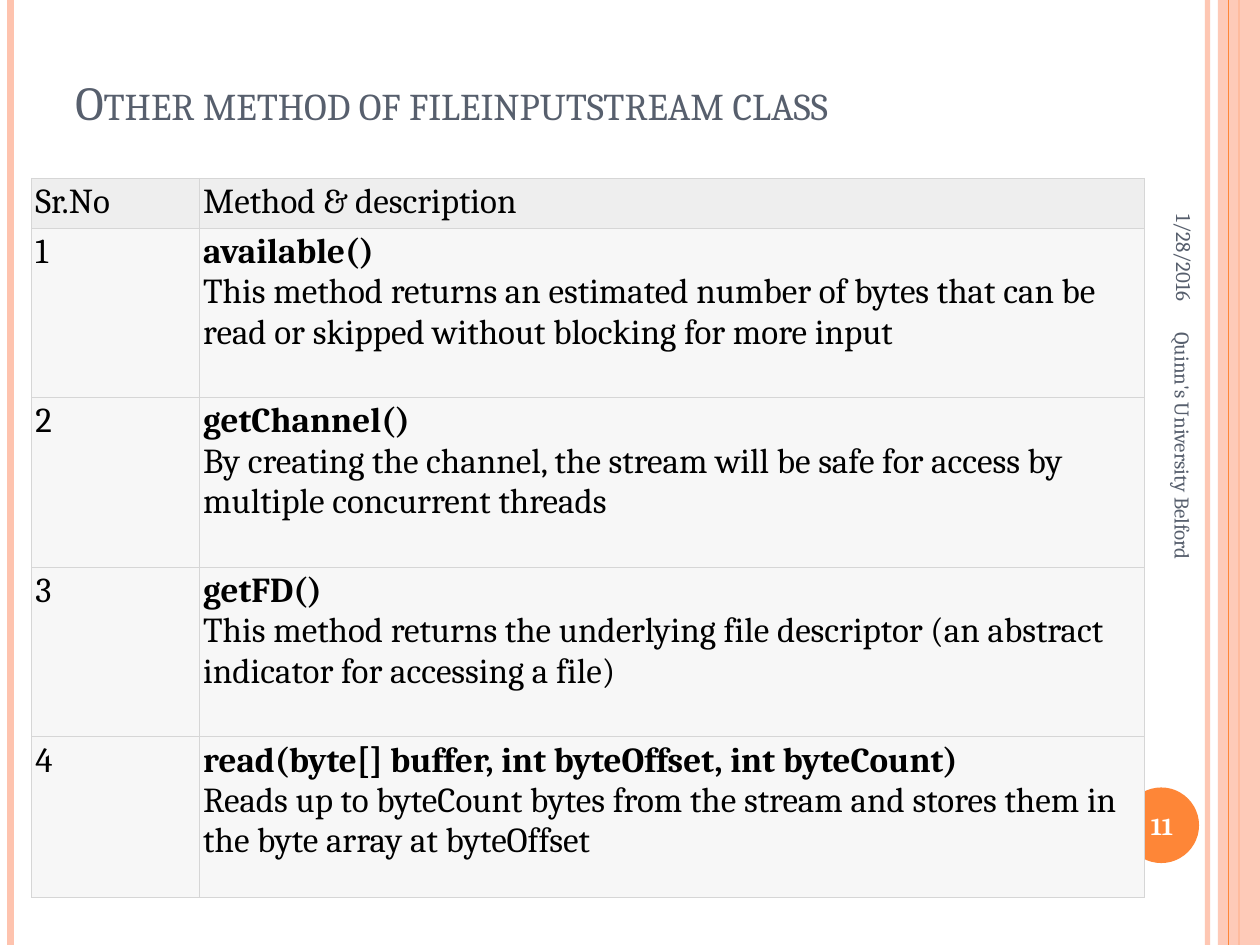
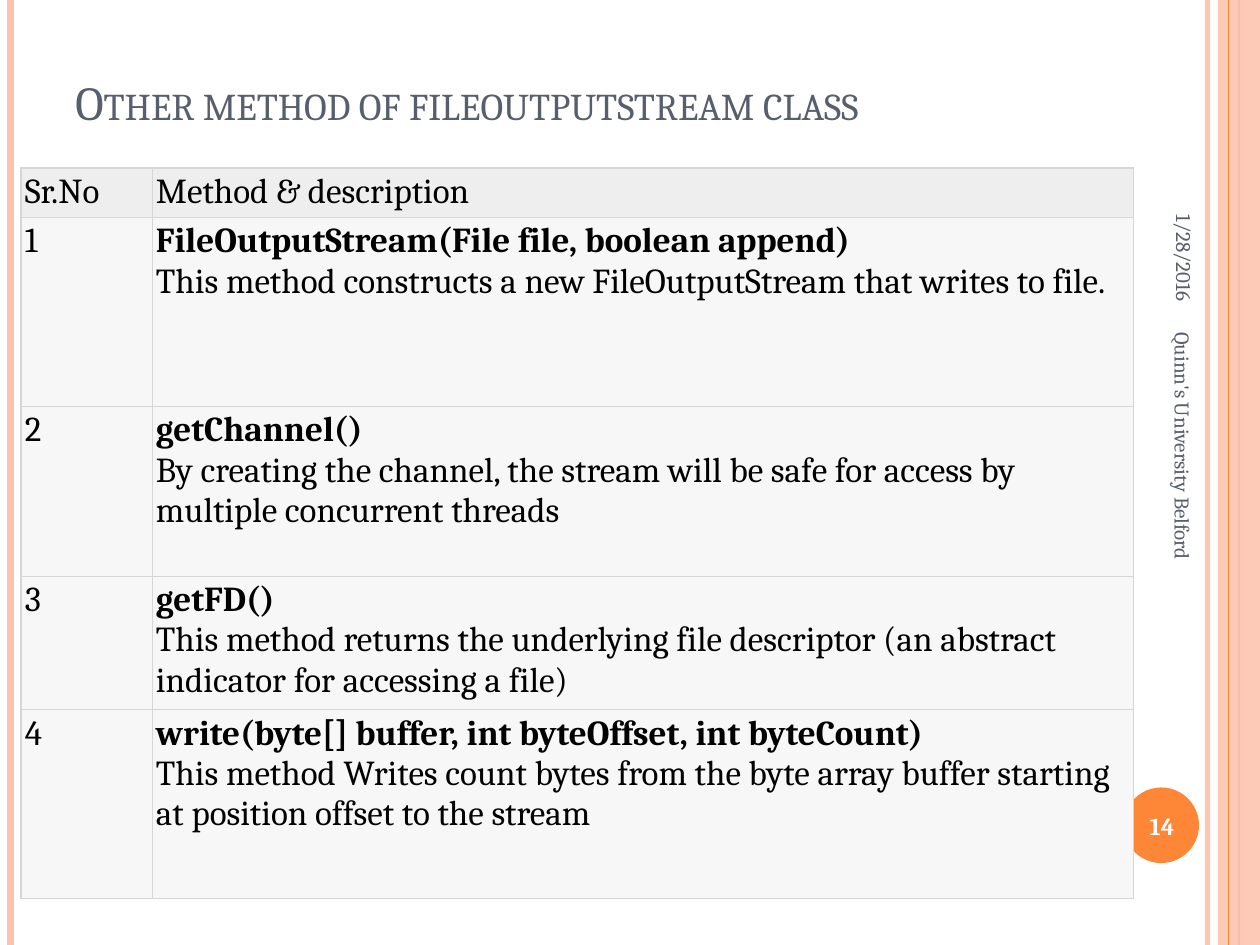
from lxml import etree
from pptx import Presentation
from pptx.dml.color import RGBColor
from pptx.enum.shapes import MSO_CONNECTOR, MSO_SHAPE
from pptx.enum.text import MSO_ANCHOR, PP_ALIGN
from pptx.oxml.ns import qn
from pptx.util import Pt

LINE = MSO_CONNECTOR.STRAIGHT
RECT, OVAL = MSO_SHAPE.RECTANGLE, MSO_SHAPE.OVAL
MIDDLE, BOTTOM = MSO_ANCHOR.MIDDLE, MSO_ANCHOR.BOTTOM
LEFT, CENTER, RIGHT = PP_ALIGN.LEFT, PP_ALIGN.CENTER, PP_ALIGN.RIGHT

PEACH = RGBColor(0xFE, 0xC3, 0xAE)
ORANGE = RGBColor(0xFE, 0x86, 0x37)
SLATE = RGBColor(0x57, 0x5F, 0x6D)
WHITE = RGBColor(0xFF, 0xFF, 0xFF)
BLACK = RGBColor(0, 0, 0)
HEAD = RGBColor(0xEE, 0xEE, 0xEE)
BODY = RGBColor(0xF7, 0xF7, 0xF7)
GRID = "D6D6D6"

FONT = "Cambria"
WIDE, HIGH = 720, 540
DATE = "1/28/2016"
FOOTER = "Quinn's University Belford"

# Methods that both classes share
CHANNEL = ("getChannel()", "By creating the channel, the stream will be safe "
           "for access by multiple concurrent threads")
GETFD = ("getFD()", "This method returns the underlying file descriptor "
         "(an abstract indicator for accessing a file)")


def fade(shape, percent):
    """Make the fill or line colour of a shape partly transparent."""
    for color in shape.element.spPr.iter(qn("a:srgbClr")):
        etree.SubElement(color, qn("a:alpha"), val=str(percent * 1000))


def border(cell):
    """Draw a thin grid line on all four sides of a cell."""
    props = cell._tc.get_or_add_tcPr()
    for side in ("lnL", "lnR", "lnT", "lnB"):
        line = etree.SubElement(props, qn("a:" + side), w=str(Pt(0.75)))
        fill = etree.SubElement(line, qn("a:solidFill"))
        etree.SubElement(fill, qn("a:srgbClr"), val=GRID)


class Deck:
    def __init__(self):
        self.prs = Presentation()
        self.prs.slide_width, self.prs.slide_height = Pt(WIDE), Pt(HIGH)
        self.slide = None

    def start(self, title, number):
        """Add a slide with its bands, title and footers."""
        self.slide = self.prs.slides.add_slide(self.prs.slide_layouts[6])
        fill = self.slide.background.fill
        fill.solid()
        fill.fore_color.rgb = WHITE
        # Bands at the left and right edges
        fade(self.rule(690, PEACH, 3), 93)
        self.rule(6, PEACH, 4.5)
        self.rule(708, ORANGE, 1.5)
        fade(self.shape(RECT, (696, 0, 24, HIGH), PEACH), 87)
        self.rule(702, ORANGE, 0.75)
        self.shape(OVAL, (642, 450, 43.2, 43.2), ORANGE)
        # Title, date, footer and slide number
        run = self.text(title, (36, 21.6, 588, 56.2), 27, anchor=BOTTOM)
        run.font._element.set("cap", "small")
        self.text(DATE, (597.6, 85, 158.4, 30), 12, align=RIGHT, turn=90)
        self.text(FOOTER, (550, 294.5, 252, 28.8), 12, turn=90)
        run = self.text(number, (640, 451.4, 48, 41), 14, WHITE, CENTER)
        run.font.bold = True

    def rule(self, x, color, width):
        line = self.slide.shapes.add_connector(LINE, Pt(x), 0, Pt(x), Pt(HIGH))
        line.line.color.rgb = color
        line.line.width = Pt(width)
        etree.SubElement(line.element.spPr, qn("a:effectLst"))
        return line

    def shape(self, kind, box, color):
        shape = self.slide.shapes.add_shape(kind, *map(Pt, box))
        shape.shadow.inherit = False
        shape.fill.solid()
        shape.fill.fore_color.rgb = color
        shape.line.fill.background()
        return shape

    def style(self, run, size, color):
        run.font.name, run.font.size = FONT, Pt(size)
        run.font.color.rgb = color

    def text(self, words, box, size, color=SLATE, align=LEFT, anchor=MIDDLE,
             turn=0):
        shape = self.slide.shapes.add_textbox(*map(Pt, box))
        shape.rotation = turn
        frame = shape.text_frame
        frame.word_wrap, frame.vertical_anchor = True, anchor
        frame.text = words
        para = frame.paragraphs[0]
        para.alignment = align
        self.style(para.runs[0], size, color)
        return para.runs[0]

    def table(self, left, top, widths, heights, methods):
        """List the methods under a header, numbered from 1."""
        rows = [("Sr.No", "Method & description")]
        rows += [(str(i), "\v".join(m)) for i, m in enumerate(methods, 1)]
        grid = self.slide.shapes.add_table(
            len(rows), len(widths), Pt(left), Pt(top),
            Pt(sum(widths)), Pt(sum(heights))).table
        grid.first_row = grid.horz_banding = False
        for col, width in zip(grid.columns, widths):
            col.width = Pt(width)
        for r, (row, height) in enumerate(zip(rows, heights)):
            grid.rows[r].height = Pt(height)
            for c, words in enumerate(row):
                self.cell(grid.cell(r, c), words, BODY if r else HEAD)

    def cell(self, cell, words, color):
        border(cell)
        cell.fill.solid()
        cell.fill.fore_color.rgb = color
        cell.margin_left = cell.margin_right = Pt(2.16)
        cell.margin_top = cell.margin_bottom = Pt(2.16)
        cell.text_frame.text = words
        runs = cell.text_frame.paragraphs[0].runs
        for run in runs:
            self.style(run, 20, BLACK)
        # A method name stands in bold above its description
        runs[0].font.bold = len(runs) > 1


def main():
    deck = Deck()

    # Reading methods
    deck.start("Other method of fileinputstream class", "11")
    deck.table(18, 102, (96, 540), (27.4, 96.9, 96.9, 96.9, 92), [
        ("available()", "This method returns an estimated number of bytes "
         "that can be read or skipped without blocking for more input"),
        CHANNEL,
        GETFD,
        ("read(byte[] buffer, int byteOffset, int byteCount)",
         "Reads up to byteCount bytes from the stream and stores them in "
         "the byte array at byteOffset"),
    ])

    # Writing methods
    deck.start("Other method of fileoutputstream class", "14")
    deck.table(12, 96, (75, 561), (27.4, 108, 96.9, 73.4, 108), [
        ("FileOutputStream(File file, boolean append)",
         "This method constructs a new FileOutputStream that writes to file."),
        CHANNEL,
        GETFD,
        ("write(byte[] buffer, int byteOffset, int byteCount)",
         "This method Writes count bytes from the byte array buffer starting "
         "at position offset to the stream"),
    ])

    deck.prs.save("out.pptx")


if __name__ == "__main__":
    main()
